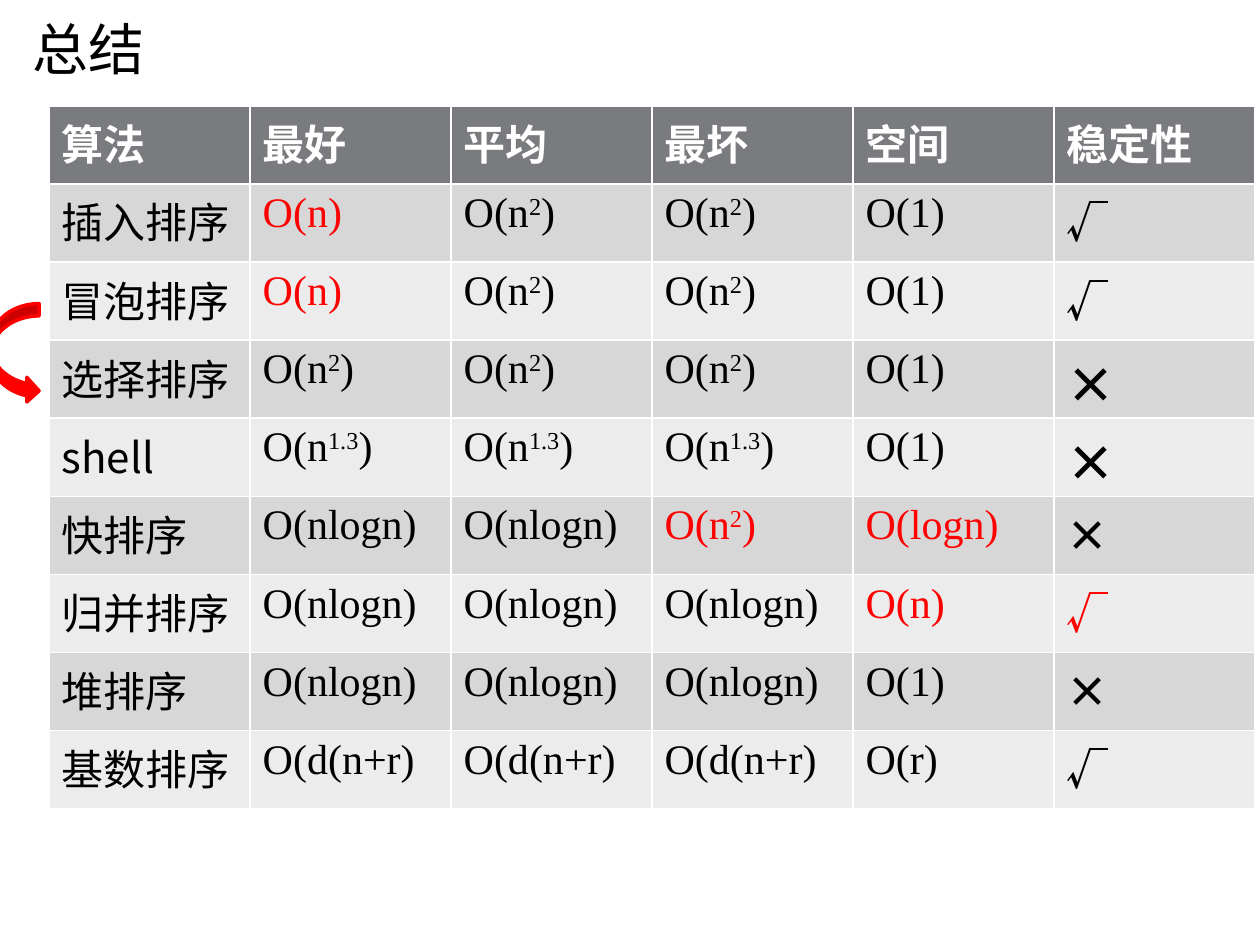
"""Build a summary slide that compares sorting algorithms."""
from dataclasses import dataclass

from lxml import etree
from pptx import Presentation
from pptx.dml.color import RGBColor
from pptx.enum.shapes import MSO_SHAPE
from pptx.enum.text import MSO_ANCHOR, PP_ALIGN
from pptx.oxml.ns import qn
from pptx.util import Inches, Pt

CURVED_ARROW = MSO_SHAPE.CURVED_RIGHT_ARROW
MIDDLE = MSO_ANCHOR.MIDDLE
JUSTIFY = PP_ALIGN.JUSTIFY

COLORS = {
    "black": "000000",
    "white": "FFFFFF",
    "red": "FF0000",
    "header": "797B7E",
    "dark_band": "D7D7D8",
    "light_band": "ECECEC",
}
TITLE_FONT = "Arial"
LABEL_FONT = "Noto Sans CJK SC"
FORMULA_FONT = "Times New Roman"
HEADINGS = ("算法", "最好", "平均", "最坏", "空间", "稳定性")
ROW_HEIGHT = 0.62


@dataclass(frozen=True)
class Entry:
    """Cell wording, with superscripts between carets."""
    text: str
    color: str = "black"
    size: int = 24


@dataclass(frozen=True)
class Algorithm:
    """One table row: name, three running times, space and stability."""
    name: str
    best: Entry
    average: Entry
    worst: Entry
    space: Entry
    stable: Entry


SQUARE = Entry("O(n^2^)")
SHELL = Entry("O(n^1.3^)")
LOG = Entry("O(nlogn)")
RADIX = Entry("O(d(n+r)")
CONSTANT = Entry("O(1)")
RED_LINEAR = Entry("O(n)", "red")
YES = Entry("√")
NO = Entry("×")
LARGE_NO = Entry("×", size=28)

ALGORITHMS = (
    Algorithm("插入排序", RED_LINEAR, SQUARE, SQUARE, CONSTANT, YES),
    Algorithm("冒泡排序", RED_LINEAR, SQUARE, SQUARE, CONSTANT, YES),
    Algorithm("选择排序", SQUARE, SQUARE, SQUARE, CONSTANT, LARGE_NO),
    Algorithm("shell", SHELL, SHELL, SHELL, CONSTANT, LARGE_NO),
    Algorithm("快排序", LOG, LOG, Entry("O(n^2^)", "red"), Entry("O(logn)", "red"), NO),
    Algorithm("归并排序", LOG, LOG, LOG, RED_LINEAR, Entry("√", "red")),
    Algorithm("堆排序", LOG, LOG, LOG, CONSTANT, NO),
    Algorithm("基数排序", RADIX, RADIX, RADIX, Entry("O(r)"), YES),
)


def rgb(name: str) -> RGBColor:
    """Look up a named colour."""
    return RGBColor.from_string(COLORS[name])


def write(paragraph, entry: Entry, font_name: str, bold: bool = False) -> None:
    """Write an entry, raising the parts between carets."""
    font = paragraph.font
    font.name, font.size, font.bold = font_name, Pt(entry.size), bold
    font.color.rgb = rgb(entry.color)
    properties = paragraph._p.pPr.find(qn("a:defRPr"))
    etree.SubElement(properties, qn("a:ea")).set("typeface", font_name)
    for index, part in enumerate(entry.text.split("^")):
        run = paragraph.add_run()
        run.text = part
        if index % 2:
            run._r.get_or_add_rPr().set("baseline", "30000")


def fill_cell(cell, fill: str, entry: Entry, font_name: str, bold: bool = False) -> None:
    """Fill a table cell and write its entry."""
    cell.fill.solid()
    cell.fill.fore_color.rgb = rgb(fill)
    write(cell.text_frame.paragraphs[0], entry, font_name, bold)


def add_title(slide) -> None:
    """Add the slide heading."""
    box = slide.shapes.add_textbox(Inches(0.16), Inches(0), Inches(8.87), Inches(0.76))
    frame = box.text_frame
    frame.word_wrap = True
    frame.vertical_anchor = MIDDLE
    frame.paragraphs[0].alignment = JUSTIFY
    write(frame.paragraphs[0], Entry("总结", size=32), TITLE_FONT)


def add_comparison(slide) -> None:
    """Add the table of algorithms."""
    row_count = len(ALGORITHMS) + 1
    table = slide.shapes.add_table(
        row_count, len(HEADINGS), Inches(0.39), Inches(0.84),
        Inches(9.57), Inches(ROW_HEIGHT * row_count),
    ).table
    for column, heading in enumerate(HEADINGS):
        fill_cell(table.cell(0, column), "header", Entry(heading, "white"), LABEL_FONT, True)
    for row, algorithm in enumerate(ALGORITHMS, start=1):
        band = "dark_band" if row % 2 else "light_band"
        fill_cell(table.cell(row, 0), band, Entry(algorithm.name), LABEL_FONT)
        formulas = (algorithm.best, algorithm.average, algorithm.worst, algorithm.space)
        for column, formula in enumerate(formulas, start=1):
            fill_cell(table.cell(row, column), band, formula, FORMULA_FONT)
        fill_cell(table.cell(row, 5), band, algorithm.stable, LABEL_FONT, True)


def add_swap_arrow(slide) -> None:
    """Add the curved arrow beside the table."""
    arrow = slide.shapes.add_shape(
        CURVED_ARROW, Inches(-0.08), Inches(2.41), Inches(0.39), Inches(0.79))
    arrow.shadow.inherit = False
    arrow.fill.solid()
    arrow.fill.fore_color.rgb = rgb("red")
    arrow.line.color.rgb = rgb("red")
    arrow.line.width = Pt(2)


def main() -> None:
    """Build and save the presentation."""
    presentation = Presentation()
    presentation.slide_width, presentation.slide_height = Inches(10), Inches(7.5)
    slide = presentation.slides.add_slide(presentation.slide_layouts[6])
    add_title(slide)
    add_comparison(slide)
    add_swap_arrow(slide)
    presentation.save("out.pptx")


if __name__ == "__main__":
    main()
